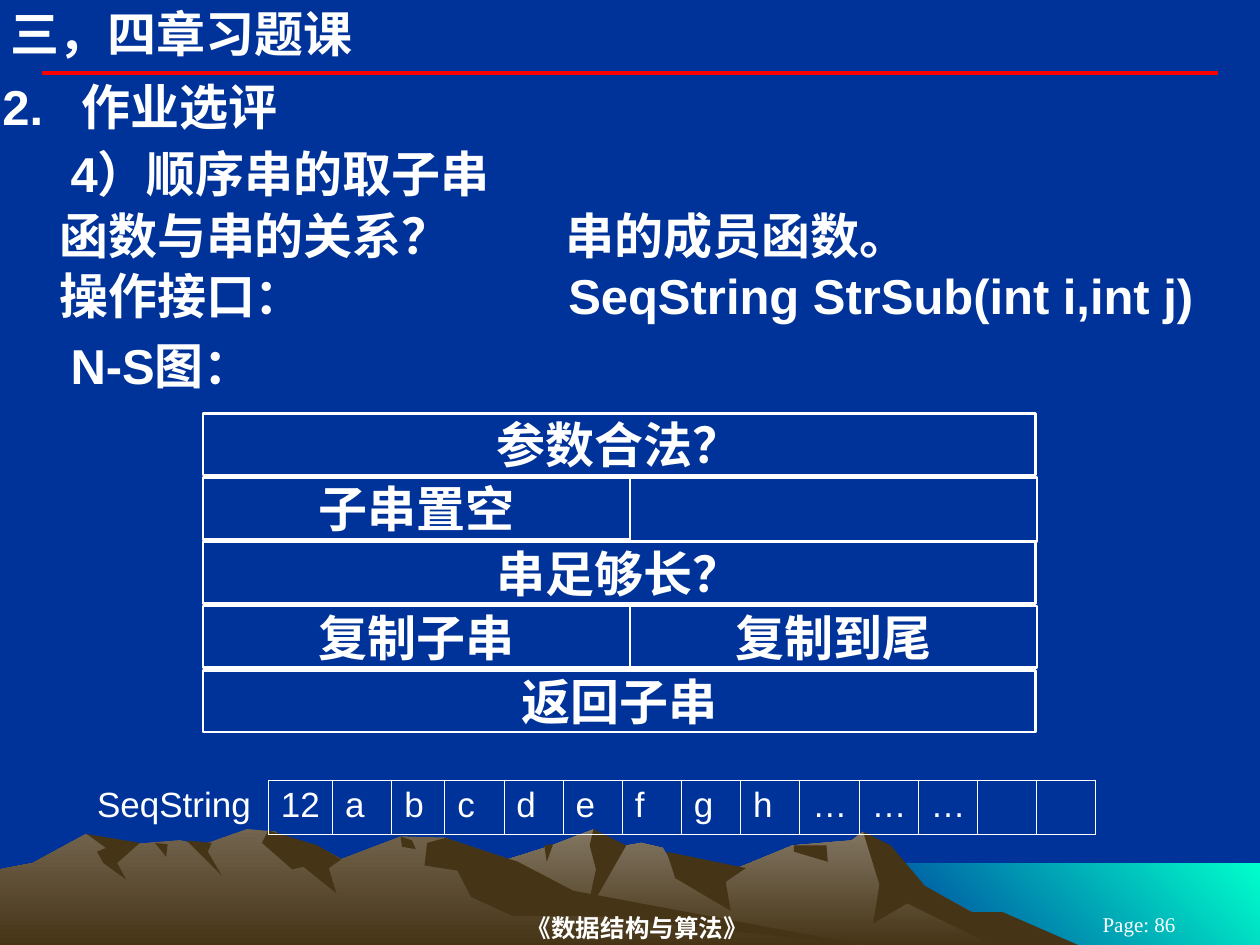
from typing import NamedTuple, Optional

from lxml.etree import SubElement
from pptx import Presentation
from pptx.dml.color import RGBColor
from pptx.enum.shapes import MSO_CONNECTOR, MSO_SHAPE
from pptx.enum.text import MSO_ANCHOR, MSO_AUTO_SIZE, PP_ALIGN
from pptx.oxml import parse_xml
from pptx.oxml.ns import nsdecls, qn
from pptx.util import Inches, Pt

# The slide is a grid of 1000 columns by 750 rows
SLIDE_WIDTH, SLIDE_HEIGHT = Inches(10), Inches(7.5)
UNIT = SLIDE_WIDTH // 1000

NAVY = RGBColor(0x00, 0x33, 0x99)
AQUA = RGBColor(0x00, 0xFF, 0xCC)
WHITE = RGBColor(0xFF, 0xFF, 0xFF)
RED = RGBColor(0xFF, 0x00, 0x00)
ROCK_LIGHT = RGBColor(0x83, 0x77, 0x63)
ROCK_MIDDLE = RGBColor(0x72, 0x64, 0x4E)
ROCK_DARK = RGBColor(0x46, 0x34, 0x16)

DOWN, DOWN_LEFT = 270, 225  # gradient directions


class Outline(NamedTuple):
    points: list
    color: RGBColor = ROCK_DARK
    end_color: Optional[RGBColor] = None
    angle: int = DOWN


class Label(NamedTuple):
    text: str
    column: float
    row: float
    columns: float
    rows: float = 49
    inset: tuple = (0.02, 0.01)
    size: float = 28
    bold: bool = True
    font: str = "Arial"
    align: PP_ALIGN = PP_ALIGN.LEFT
    anchor: MSO_ANCHOR = MSO_ANCHOR.TOP
    grow: bool = True
    tab: Optional[float] = None


class Block(NamedTuple):
    text: str
    level: int
    column: int
    columns: int
    rows: int = 49


# Scenery, from back to front: sea, far range with shadows, near range with shadows
OUTLINES = [
    Outline([(1000, 752), (683, 752), (683, 685), (1000, 685)], AQUA, NAVY, DOWN_LEFT),
    Outline([(821, 751), (723, 698), (685, 660), (676, 667), (629, 671), (566, 697), (536, 690),
             (526, 673), (509, 669), (486, 673), (471, 658), (438, 671), (394, 685), (327, 709),
             (258, 751)], ROCK_LIGHT, ROCK_DARK),
    Outline([(796, 724), (771, 724), (734, 703), (707, 671), (685, 660), (698, 702), (693, 733),
             (720, 717), (792, 752), (858, 751)]),
    Outline([(471, 658), (468, 671), (473, 690), (465, 727), (497, 671)]),
    Outline([(529, 676), (536, 697), (580, 723), (576, 700), (592, 689)]),
    Outline([(630, 671), (630, 676), (657, 684), (656, 671)]),
    Outline([(432, 671), (439, 670), (434, 684)]),
    Outline([(690, 751), (432, 712), (354, 665), (318, 664), (271, 682), (260, 676), (236, 681),
             (219, 660), (196, 658), (160, 671), (143, 667), (94, 671), (68, 662), (26, 685),
             (0, 690), (0, 751)], ROCK_MIDDLE, ROCK_DARK),
    Outline([(213, 659), (208, 669), (232, 690), (241, 688), (267, 709), (261, 689), (271, 682),
             (252, 671)]),
    Outline([(354, 665), (339, 669), (337, 687), (363, 691), (374, 712), (407, 727), (472, 727),
             (690, 751), (455, 707), (411, 684)]),
    Outline([(318, 664), (327, 667), (330, 674), (319, 672)]),
    Outline([(148, 667), (168, 669), (165, 676), (176, 695)]),
    Outline([(133, 670), (132, 680), (123, 669)]),
    Outline([(111, 669), (93, 685), (100, 698), (82, 685), (77, 676), (84, 673), (69, 662)]),
]

FOOTER = dict(font="Times New Roman", align=PP_ALIGN.CENTER, anchor=MSO_ANCHOR.MIDDLE, grow=False)
LABELS = [
    Label("《数据结构与算法》", 203, 722, 606, 28, (0, 0.01), 14, **FOOTER),
    Label("Page: 86", 825, 725, 158, 17, (0.1, 0.05), 12, False, **FOOTER),
    Label("三，四章习题课", 8, 3, 650, 47, (0, 0)),
    Label("2.\t作业选评", 0, 60, 1000, tab=0.63),
    Label("4）顺序串的取子串", 54, 113, 946),
    Label("函数与串的关系？", 45, 162, 355),
    Label("串的成员函数。", 447, 162, 305),
    Label("操作接口：", 45, 210, 355),
    Label("SeqString StrSub(int i,int j)", 449, 210, 531),
    Label("N-S图：", 54, 265, 946),
]

# N-S chart: full rows, or rows split into two branches
CHART_TOP, CHART_PITCH = 328, 51
FULL, LEFT, RIGHT = (161, 661), (161, 339), (500, 323)
BLOCKS = [
    Block("参数合法？", 0, *FULL),
    Block("子串置空", 1, *LEFT),
    Block("", 1, *RIGHT, rows=CHART_PITCH),
    Block("串足够长？", 2, *FULL),
    Block("复制子串", 3, *LEFT),
    Block("复制到尾", 3, *RIGHT),
    Block("返回子串", 4, *FULL),
]

STRING_CELLS = ["SeqString", "12", *"abcdefgh", "…", "…", "…", "", ""]
STRING_COLUMNS = [146, 51, 47, 42] + [47] * 11


def grid(*units: float) -> list:
    return [round(unit * UNIT) for unit in units]


def add_text(frame, text: str, size: float, bold: bool, font: str, align: PP_ALIGN) -> None:
    paragraph = frame.paragraphs[0]
    paragraph.alignment = align
    run = paragraph.add_run()
    run.text = text
    run.font.size, run.font.bold, run.font.name = Pt(size), bold, font
    run.font.color.rgb = WHITE


def fill_frame(frame, label: Label) -> None:
    frame.word_wrap = True
    frame.auto_size = MSO_AUTO_SIZE.SHAPE_TO_FIT_TEXT if label.grow else MSO_AUTO_SIZE.NONE
    frame.vertical_anchor = label.anchor
    frame.margin_left = frame.margin_right = Inches(label.inset[0])
    frame.margin_top = frame.margin_bottom = Inches(label.inset[1])
    if label.tab:
        tabs = SubElement(frame.paragraphs[0]._p.get_or_add_pPr(), qn("a:tabLst"))
        SubElement(tabs, qn("a:tab"), pos=str(Inches(label.tab)), algn="l")
    add_text(frame, label.text, label.size, label.bold, label.font, label.align)


def draw_outline(slide, outline: Outline) -> None:
    builder = slide.shapes.build_freeform(*outline.points[0], scale=UNIT)
    builder.add_line_segments(outline.points[1:], close=True)
    shape = builder.convert_to_shape()
    shape.shadow.inherit = False
    shape.line.fill.background()
    if outline.end_color is None:
        shape.fill.solid()
        shape.fill.fore_color.rgb = outline.color
        return
    shape.fill.gradient()
    shape.fill.gradient_angle = outline.angle
    for stop, color, position in zip(shape.fill.gradient_stops, (outline.color, outline.end_color), (0, 1)):
        stop.color.rgb, stop.position = color, position


def draw_label(slide, label: Label) -> None:
    box = slide.shapes.add_textbox(*grid(label.column, label.row, label.columns, label.rows))
    fill_frame(box.text_frame, label)


def draw_block(slide, block: Block) -> None:
    place = (block.column, CHART_TOP + block.level * CHART_PITCH, block.columns, block.rows)
    shape = slide.shapes.add_shape(MSO_SHAPE.RECTANGLE, *grid(*place))
    shape.shadow.inherit = False
    shape.fill.background()
    shape.line.color.rgb, shape.line.width = WHITE, Pt(1.5)
    if block.text:
        fill_frame(shape.text_frame, Label(block.text, *place, align=PP_ALIGN.CENTER))


def set_borders(cell, visible: str) -> None:
    for index, side in enumerate("LRTB"):
        paint = f'<a:solidFill><a:srgbClr val="{WHITE}"/></a:solidFill>' if side in visible else "<a:noFill/>"
        line = parse_xml(f'<a:ln{side} {nsdecls("a")} w="{Pt(0.45)}">{paint}</a:ln{side}>')
        cell._tc.get_or_add_tcPr().insert(index, line)


def draw_string_table(slide) -> None:
    place = grid(67, 619, sum(STRING_COLUMNS), 43.5)
    table = slide.shapes.add_table(1, len(STRING_CELLS), *place).table
    table.first_row = table.horz_banding = False
    for index, (text, columns) in enumerate(zip(STRING_CELLS, STRING_COLUMNS)):
        table.columns[index].width = columns * UNIT
        cell = table.cell(0, index)
        cell.fill.background()
        set_borders(cell, "LRTB" if index else "R")
        if text:
            add_text(cell.text_frame, text, 20, False, "Arial", PP_ALIGN.LEFT)


def main() -> None:
    presentation = Presentation()
    presentation.slide_width, presentation.slide_height = SLIDE_WIDTH, SLIDE_HEIGHT
    slide = presentation.slides.add_slide(presentation.slide_layouts[6])
    slide.background.fill.solid()
    slide.background.fill.fore_color.rgb = NAVY
    for outline in OUTLINES:
        draw_outline(slide, outline)
    # Rule under the title
    rule = slide.shapes.add_connector(MSO_CONNECTOR.STRAIGHT, *grid(33, 58, 967, 58))
    rule.line.color.rgb, rule.line.width = RED, Pt(2.25)
    SubElement(rule._element.spPr, qn("a:effectLst"))
    for label in LABELS:
        draw_label(slide, label)
    draw_string_table(slide)
    for block in BLOCKS:
        draw_block(slide, block)
    presentation.save("out.pptx")


if __name__ == "__main__":
    main()
